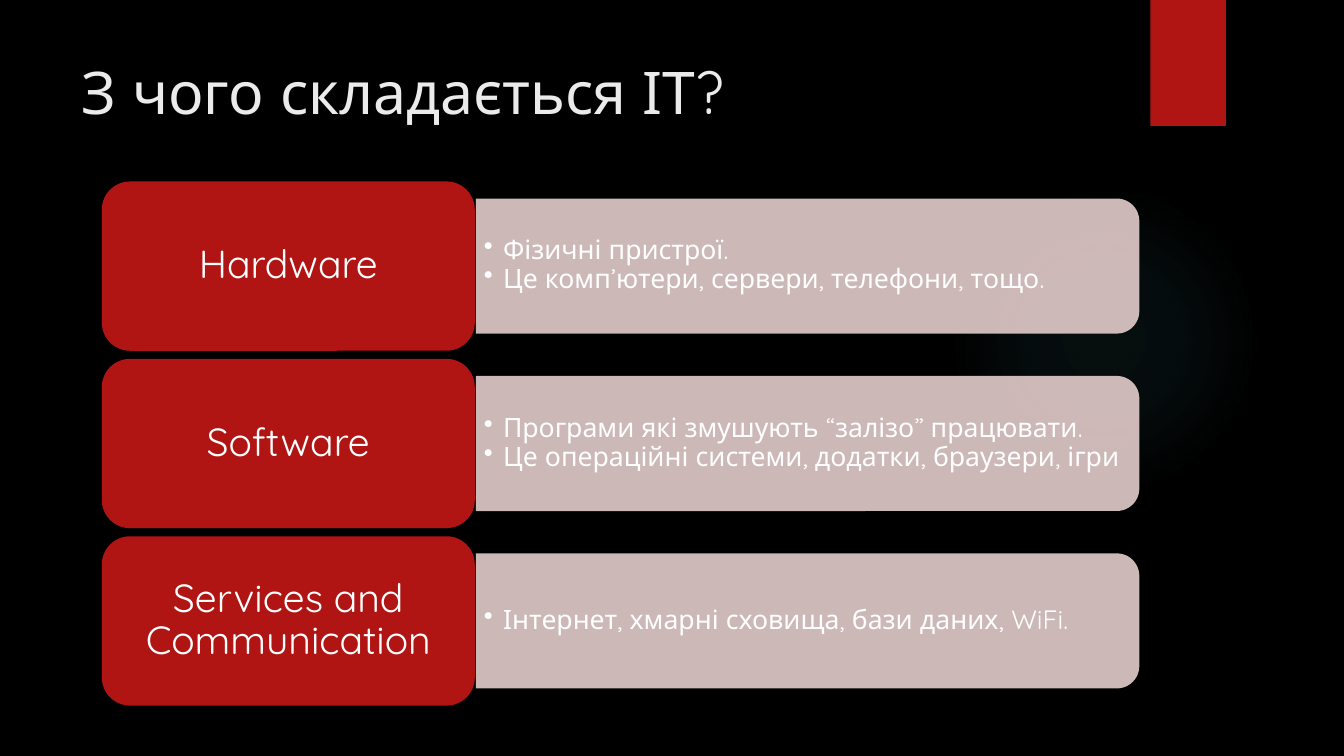
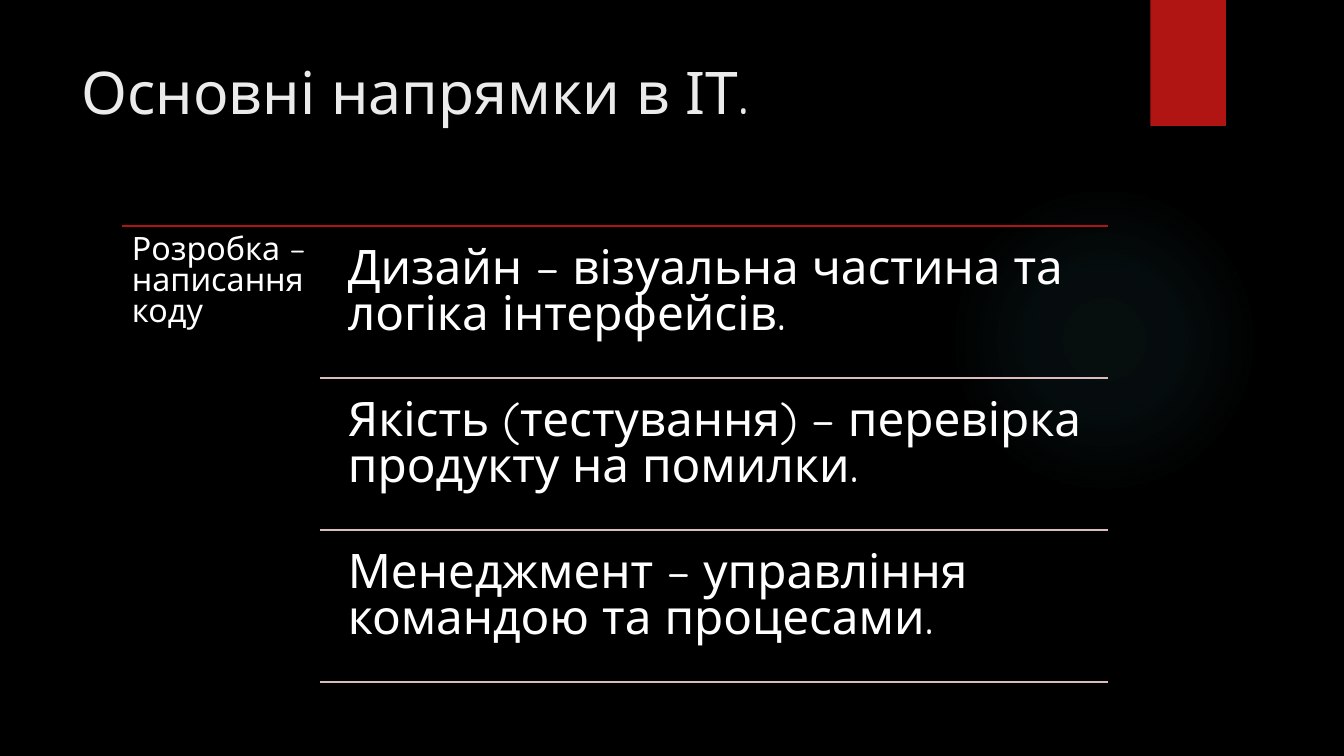
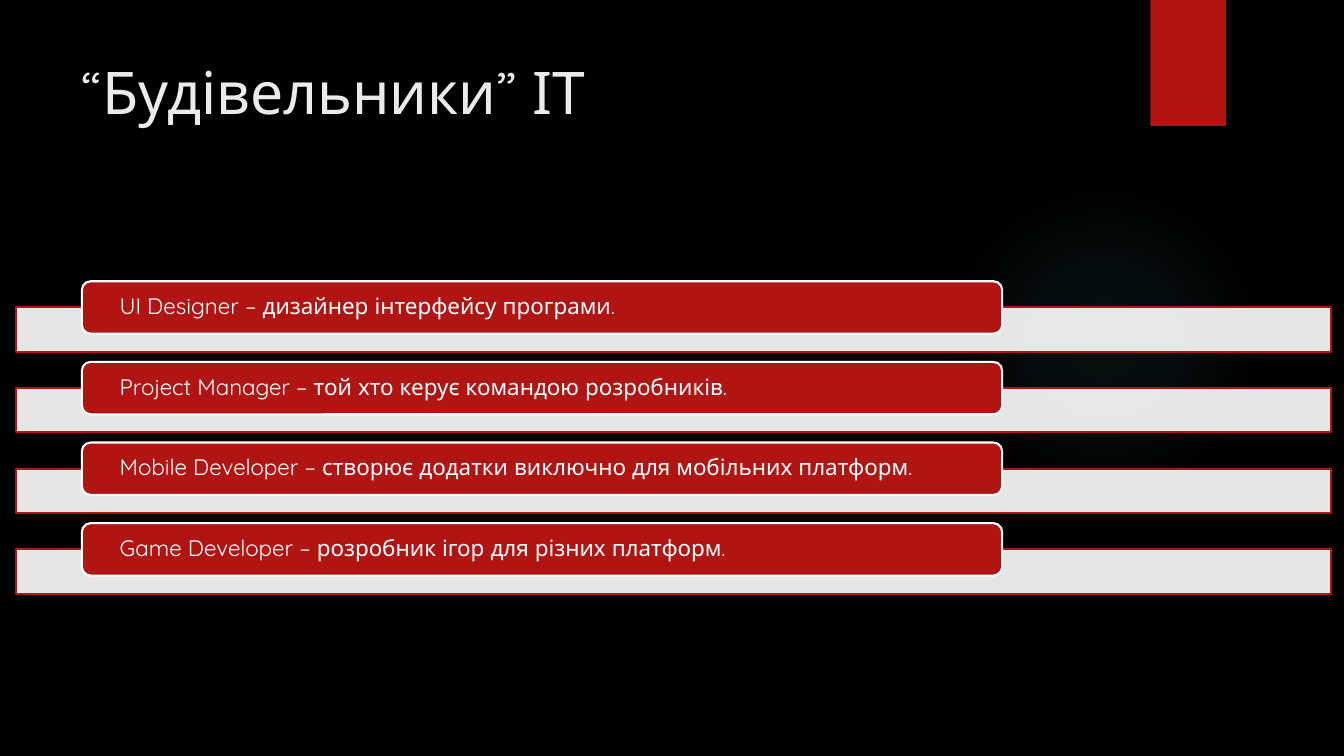
from lxml import etree
from pptx import Presentation
from pptx.dml.color import RGBColor
from pptx.enum.shapes import MSO_CONNECTOR, MSO_SHAPE as Preset
from pptx.enum.text import MSO_ANCHOR as Anchor, PP_ALIGN as Align
from pptx.oxml import parse_xml
from pptx.oxml.ns import nsdecls, qn
from pptx.util import Inches, Pt

FONT = "Quicksand"
COLORS = {
    "background": "000000",
    "accent": "B01513",
    "glow": "50B9C1",
    "title": "EBEBEB",
    "text": "FFFFFF",
    "detail": "E4CCCC",
    "divider": "DCBDBD",
}


def rgb(name):
    return RGBColor.from_string(COLORS[name])


# Building blocks
def add_panel(slide, preset, box, fill, line=None, opacity=None):
    panel = slide.shapes.add_shape(preset, *map(Inches, box))
    panel.shadow.inherit = False
    panel.fill.solid()
    panel.fill.fore_color.rgb = rgb(fill)
    if opacity:
        color = panel.fill._xPr.find(qn("a:solidFill"))[0]
        etree.SubElement(color, qn("a:alpha"), val=str(opacity * 1000))
    if line:
        panel.line.color.rgb = rgb(line)
        panel.line.width = Pt(1.5)
    else:
        panel.line.fill.background()
    return panel


def add_rule(slide, left, right, y, color):
    rule = slide.shapes.add_connector(
        MSO_CONNECTOR.STRAIGHT, Inches(left), Inches(y), Inches(right), Inches(y))
    rule.line.color.rgb = rgb(color)
    rule.line.width = Pt(1.5)
    etree.SubElement(rule._element.spPr, qn("a:effectLst"))


def write(shape, lines, size, insets=(0.1, 0.05), color="text", anchor=Anchor.TOP,
          align=Align.LEFT, spacing=0.9, bullets=False):
    frame = shape.text_frame
    frame.word_wrap = True
    frame.vertical_anchor = anchor
    frame.margin_left = frame.margin_right = Inches(insets[0])
    frame.margin_top = frame.margin_bottom = Inches(insets[1])
    for number, line in enumerate(lines):
        paragraph = frame.add_paragraph() if number else frame.paragraphs[0]
        paragraph.alignment = align
        paragraph.line_spacing = spacing
        if bullets:
            properties = paragraph._p.get_or_add_pPr()
            properties.set("marL", str(Inches(0.19)))
            properties.set("indent", str(Inches(-0.19)))
            etree.SubElement(properties, qn("a:buChar"), char="•")
        run = paragraph.add_run()
        run.text = line
        run.font.name = FONT
        run.font.size = Pt(size)
        run.font.color.rgb = rgb(color)


def add_text(slide, box, lines, size, **style):
    write(slide.shapes.add_textbox(*map(Inches, box)), lines, size, **style)


# Shared look: black background, soft glow, red tab, title
def add_glow(slide, box):
    glow = add_panel(slide, Preset.OVAL, box, "glow")
    stops = "".join(
        f'<a:gs pos="{place * 1000}"><a:srgbClr val="{COLORS["glow"]}">'
        f'<a:alpha val="{alpha * 1000}"/></a:srgbClr></a:gs>'
        for place, alpha in [(0, 7), (36, 6), (69, 0), (100, 0)])
    gradient = parse_xml(
        f'<a:gradFill {nsdecls("a")} rotWithShape="1"><a:gsLst>{stops}</a:gsLst>'
        '<a:path path="circle"><a:fillToRect l="50000" t="50000" r="50000" b="50000"/>'
        '</a:path></a:gradFill>')
    properties = glow._element.spPr
    properties.replace(properties.find(qn("a:solidFill")), gradient)


def start_slide(deck, title):
    slide = deck.slides.add_slide(deck.slide_layouts[6])
    slide.background.fill.solid()
    slide.background.fill.fore_color.rgb = rgb("background")
    add_glow(slide, (9.41, 1.83, 3.08, 3.08))
    add_panel(slide, Preset.RECTANGLE, (11.41, 0, 0.75, 1.25), "accent")
    add_text(slide, (0.71, 0.5, 10.29, 1.53), [title], 42, color="title", spacing=1.0)
    return slide


# Red headings, each with a pale panel of details to its right
def add_components(slide, left, top, components):
    step, heading_width, heading_height = 1.76, 3.7, 1.68
    detail_width, detail_height = 6.58, 1.34
    detail_left = left + heading_width + 0.01
    for row, (heading, details) in enumerate(components):
        y = top + row * step
        middle = y + heading_height / 2
        # A turned shape keeps its centre, so its box is laid out upright
        detail_box = (detail_left + (detail_width - detail_height) / 2,
                      middle - detail_width / 2, detail_height, detail_width)
        panel = add_panel(slide, Preset.ROUND_2_SAME_RECTANGLE, detail_box,
                          "detail", opacity=90)
        panel.rotation = 90
        add_text(slide, (detail_left, middle - 0.61, 6.52, 1.21), details, 19,
                 insets=(0.08, 0.04), anchor=Anchor.MIDDLE, bullets=True)
        name = add_panel(slide, Preset.ROUNDED_RECTANGLE,
                         (left, y, heading_width, heading_height), "accent")
        write(name, [heading], 28, insets=(0.12, 0.06), anchor=Anchor.MIDDLE,
              align=Align.CENTER)


# Lead text on the left, ruled rows on the right
def add_directions(slide, left, top, width, lead, directions):
    step, lead_width = 1.51, 1.96
    right = left + width
    rows_left = left + lead_width + 0.14
    add_rule(slide, left, right, top, "accent")
    add_text(slide, (left, top, lead_width, 4.59), [lead], 23,
             insets=(0.1, 0.1), spacing=0.8)
    for row, direction in enumerate(directions):
        y = top + row * step
        add_text(slide, (rows_left, y + 0.08, right - rows_left, 1.43), [direction], 34,
                 insets=(0.14, 0.14), spacing=0.8)
        add_rule(slide, left + lead_width, right, y + step, "divider")


# Red labels overlapping long white bars
def add_roles(slide, left, top, width, roles):
    step = 0.8
    for row, role in enumerate(roles):
        y = top + row * step
        add_panel(slide, Preset.RECTANGLE, (left, y + 0.26, width, 0.44),
                  "text", line="accent", opacity=90)
        label = add_panel(slide, Preset.ROUNDED_RECTANGLE,
                          (left + width * 0.05, y, width * 0.7, 0.52),
                          "accent", line="text")
        write(label, [role], 16, insets=(0.35, 0), anchor=Anchor.MIDDLE)


def main():
    deck = Presentation()
    deck.slide_width, deck.slide_height = Inches(13.33), Inches(7.5)

    add_components(start_slide(deck, "З чого складається ІТ?"), 1.01, 1.8, [
        ("Hardware", ["Фізичні пристрої.",
                      "Це комп’ютери, сервери, телефони, тощо."]),
        ("Software", ["Програми які змушують “залізо” працювати.",
                      "Це операційні системи, додатки, браузери, ігри"]),
        ("Services and Communication", ["Інтернет, хмарні сховища, бази даних, WiFi."]),
    ])

    add_directions(start_slide(deck, "Основні напрямки в ІТ."), 1.21, 2.24, 9.78,
                   "Розробка – написання коду", [
        "Дизайн – візуальна частина та логіка інтерфейсів.",
        "Якість (тестування) – перевірка продукту на помилки.",
        "Менеджмент – управління командою та процесами.",
    ])

    add_roles(start_slide(deck, "“Будівельники” ІТ"), 0.16, 2.79, 13.04, [
        "UI Designer – дизайнер інтерфейсу програми.",
        "Project Manager – той хто керує командою розробників.",
        "Mobile Developer – створює додатки виключно для мобільних платформ.",
        "Game Developer – розробник ігор для різних платформ.",
    ])

    deck.save("out.pptx")


if __name__ == "__main__":
    main()
